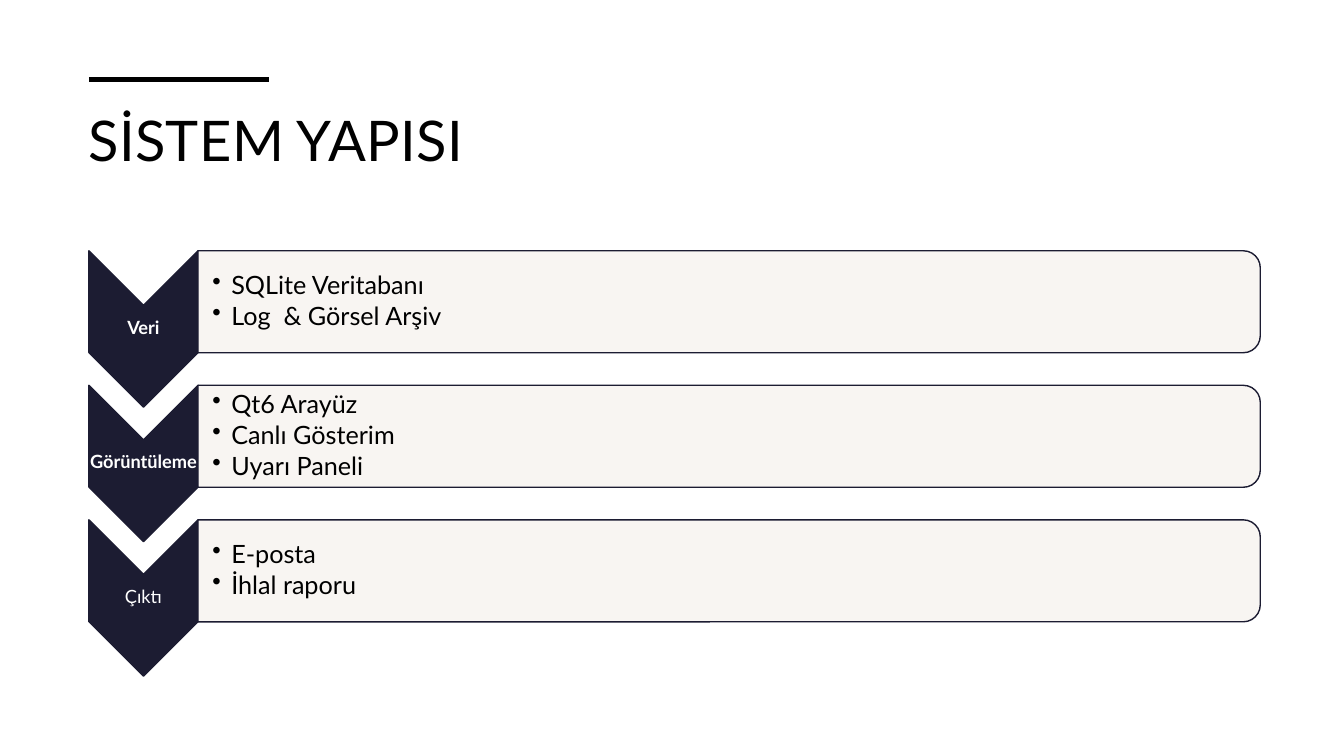
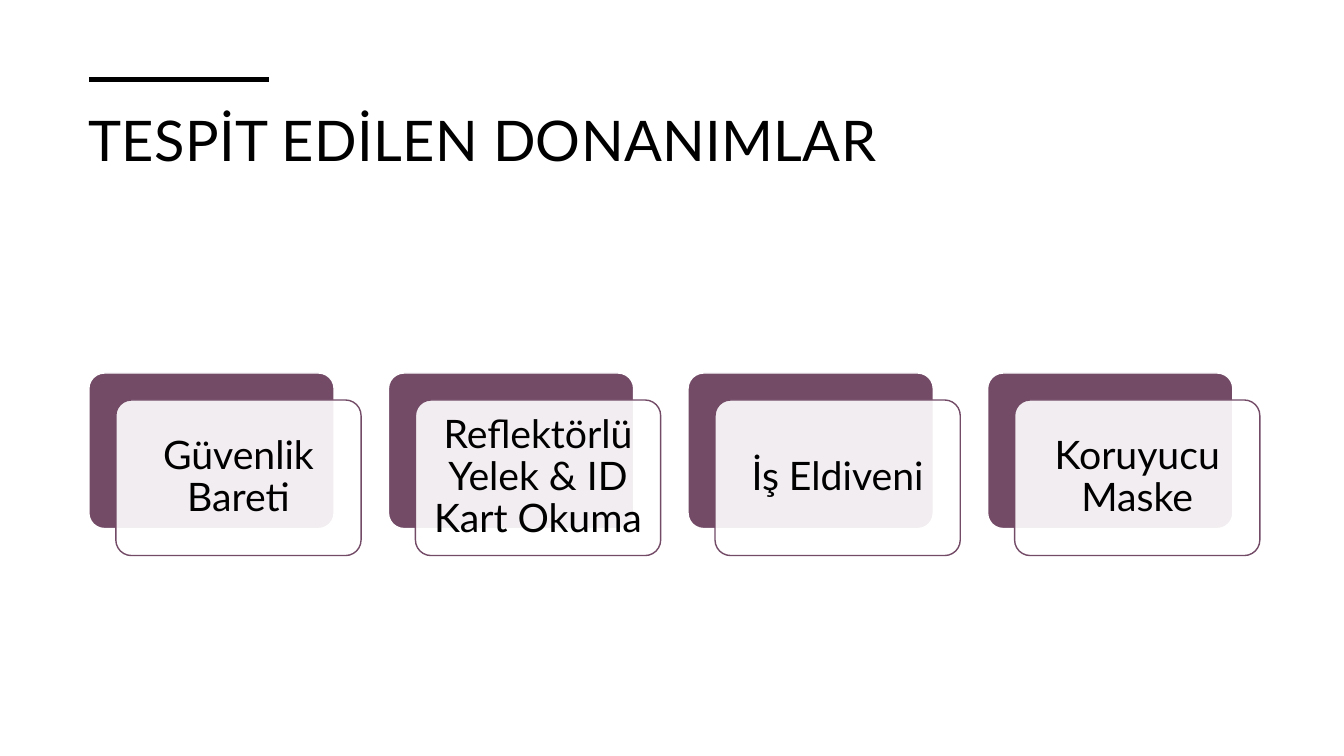
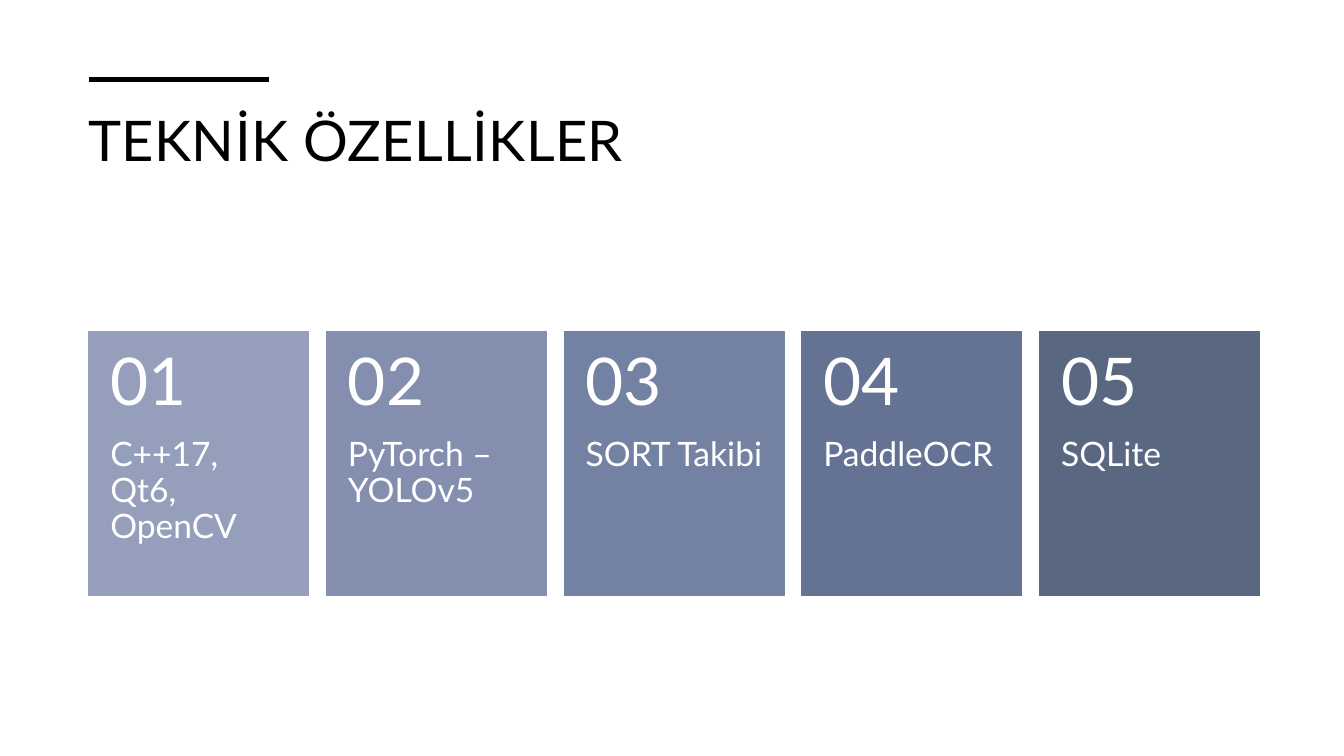
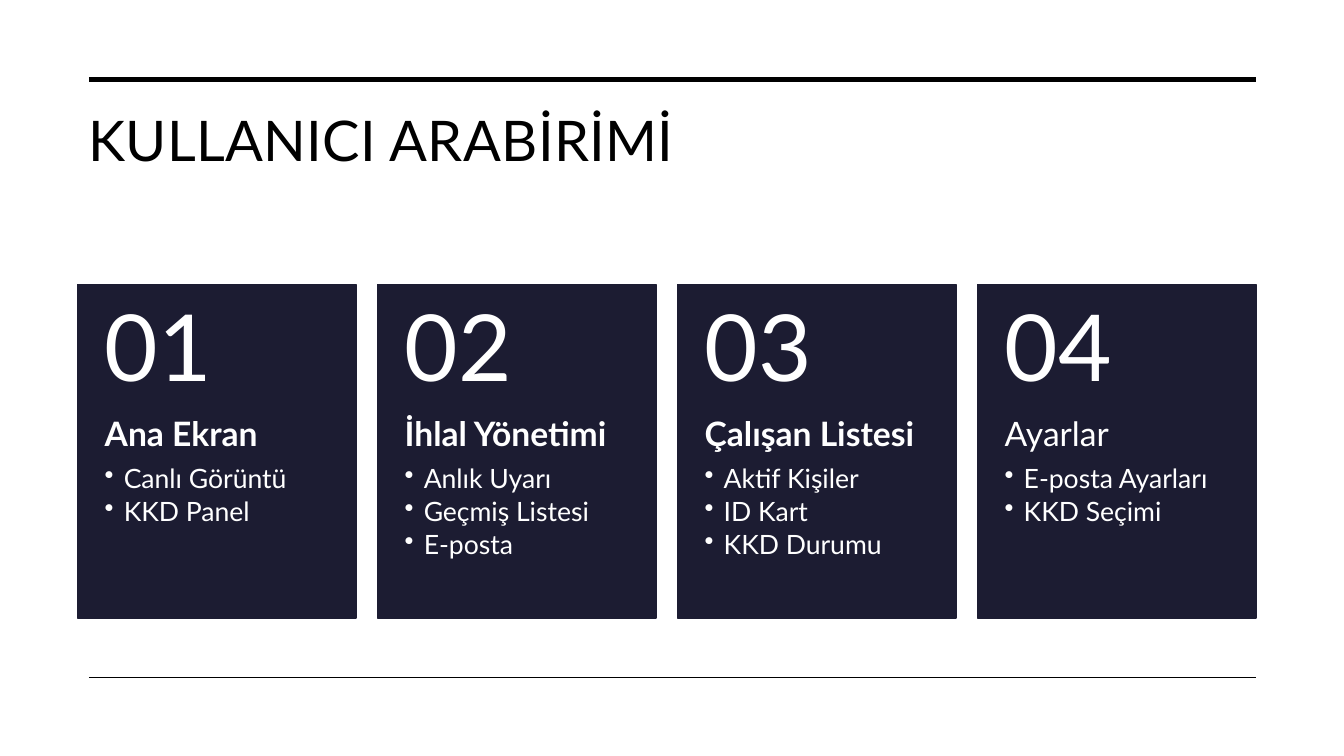
from lxml import etree
from pptx import Presentation
from pptx.dml.color import RGBColor
from pptx.enum.shapes import MSO_CONNECTOR, MSO_SHAPE
from pptx.enum.text import MSO_ANCHOR, PP_ALIGN
from pptx.oxml.ns import qn
from pptx.util import Cm, Pt

LEFT, CENTER = PP_ALIGN.LEFT, PP_ALIGN.CENTER
TOP, MIDDLE = MSO_ANCHOR.TOP, MSO_ANCHOR.MIDDLE
RECT, ROUNDED = MSO_SHAPE.RECTANGLE, MSO_SHAPE.ROUNDED_RECTANGLE
CHEVRON, ROUND_TOP = MSO_SHAPE.CHEVRON, MSO_SHAPE.ROUND_2_SAME_RECTANGLE
STRAIGHT = MSO_CONNECTOR.STRAIGHT

FONT = "Lato"
COLORS = {
    "black": "000000",
    "white": "FFFFFF",
    "navy": "1C1C32",
    "cream": "F8F4F1",
    "plum": "734B67",
    "step1": "959EBB",
    "step2": "848FAF",
    "step3": "7381A2",
    "step4": "647394",
    "step5": "596781",
}
MARGIN = 2.24
RULE_Y = 2.01
SHORT_RULE = 6.78
FULL_RULE = 31.65


def rgb(name):
    return RGBColor.from_string(COLORS[name])


def write(frame, text, *, size, color="black", bold=False, align=LEFT,
          line=0.9, after=0.35, bullet=False, tracking=None):
    paragraph = frame.paragraphs[0]
    if paragraph.runs:
        paragraph = frame.add_paragraph()
    paragraph.alignment = align
    paragraph.line_spacing = line
    paragraph.space_after = Pt(round(size * after, 2))
    if bullet:
        properties = paragraph._p.get_or_add_pPr()
        properties.set("marL", str(Cm(0.48)))
        properties.set("indent", str(-Cm(0.48)))
        etree.SubElement(properties, qn("a:buChar")).set("char", "•")
    run = paragraph.add_run()
    run.text = text
    run.font.name = FONT
    run.font.size = Pt(size)
    run.font.bold = bold
    run.font.color.rgb = rgb(color)
    if tracking:
        run.font._element.set("spc", str(tracking))


class Deck:
    def __init__(self):
        self.presentation = Presentation()
        self.presentation.slide_width = Cm(33.87)
        self.presentation.slide_height = Cm(19.05)
        self.slide = None

    def start(self, title, rule_end=SHORT_RULE):
        blank = self.presentation.slide_layouts[6]
        self.slide = self.presentation.slides.add_slide(blank)
        heading = self.text_box(1.98, 2.54, 30, 2.92, insets=(0.25, 0.13, 0.25, 0.13))
        write(heading, title, size=40, line=1.0, after=0, tracking=30)
        self.rule(RULE_Y, rule_end, 3.5)

    def rule(self, y, end, weight):
        rule = self.slide.shapes.add_connector(STRAIGHT, Cm(MARGIN), Cm(y), Cm(end), Cm(y))
        rule.line.color.rgb = rgb("black")
        rule.line.width = Pt(weight)
        etree.SubElement(rule._element.spPr, qn("a:effectLst"))

    def frame(self, shape, insets, anchor):
        frame = shape.text_frame
        frame.word_wrap = True
        frame.vertical_anchor = anchor
        (frame.margin_left, frame.margin_top,
         frame.margin_right, frame.margin_bottom) = [Cm(inset) for inset in insets]
        return frame

    def text_box(self, x, y, width, height, insets, anchor=TOP):
        box = self.slide.shapes.add_textbox(Cm(x), Cm(y), Cm(width), Cm(height))
        return self.frame(box, insets, anchor)

    def shape(self, kind, x, y, width, height, fill, line, opacity=100,
              corner=None, turned=False):
        if turned:
            x, y = x + (width - height) / 2, y + (height - width) / 2
            width, height = height, width
        shape = self.slide.shapes.add_shape(kind, Cm(x), Cm(y), Cm(width), Cm(height))
        shape.shadow.inherit = False
        shape.rotation = 90 if turned else 0
        shape.fill.solid()
        shape.fill.fore_color.rgb = rgb(fill)
        shape.line.color.rgb = rgb(line)
        shape.line.width = Pt(1)
        if corner is not None:
            shape.adjustments[0] = corner
        if opacity < 100:
            color = shape._element.spPr.find(qn("a:solidFill"))[0]
            etree.SubElement(color, qn("a:alpha")).set("val", str(opacity * 1000))
        return shape

    def stage(self, y, label, items, bold):
        arrow_width, panel_height = 2.75, 2.57
        panel_x = MARGIN + arrow_width
        self.shape(CHEVRON, MARGIN, y, arrow_width, 3.94, "navy", "navy", turned=True)
        caption = self.text_box(MARGIN, y + arrow_width / 2, arrow_width, 1.17,
                                insets=(0.02,) * 4, anchor=MIDDLE)
        write(caption, label, size=13, color="white", bold=bold, align=CENTER)
        self.shape(ROUND_TOP, panel_x, y, 26.77, panel_height, "cream", "navy",
                   opacity=90, turned=True)
        details = self.text_box(panel_x, y + 0.13, 26.64, panel_height - 0.26,
                                insets=(0.36, 0.02, 0.02, 0.02), anchor=MIDDLE)
        for item in items:
            write(details, item, size=18, after=0.15, bullet=True)

    def layered_card(self, x, y, label):
        width, height, offset = 6.18, 3.92, 0.68
        self.shape(ROUNDED, x, y, width, height, "plum", "white", corner=0.1)
        front = self.shape(ROUNDED, x + offset, y + offset, width, height,
                           "white", "plum", opacity=90, corner=0.1)
        write(self.frame(front, (0.3,) * 4, MIDDLE), label, size=28, align=CENTER)

    def numbered_card(self, x, y, width, height, color, number, number_size,
                      heading, inset, bold=False, items=()):
        number_height = height * 0.4
        self.shape(RECT, x, y, width, height, color, color)
        body = self.text_box(x, y + number_height, width, height - number_height,
                             insets=(inset, 0, inset, 0.91))
        write(body, heading, size=24, color="white", bold=bold)
        for item in items:
            write(body, item, size=19, color="white", after=0.15, bullet=True)
        counter = self.text_box(x, y, width, number_height,
                                insets=(inset, 0.46, inset, 0.46), anchor=MIDDLE)
        write(counter, f"{number:02}", size=number_size, color="white")


def system_structure(deck):
    deck.start("SİSTEM YAPISI")
    stages = [
        ("Veri", ["SQLite Veritabanı", "Log  & Görsel Arşiv"], True),
        ("Görüntüleme", ["Qt6 Arayüz", "Canlı Gösterim", "Uyarı Paneli"], True),
        ("Çıktı", ["E-posta", "İhlal raporu"], False),
    ]
    for order, (label, items, bold) in enumerate(stages):
        deck.stage(6.32 + order * 3.39, label, items, bold)


def detected_equipment(deck):
    deck.start("TESPİT EDİLEN DONANIMLAR")
    equipment = ["Güvenlik Bareti", "Reflektörlü Yelek & ID Kart Okuma",
                 "İş Eldiveni", "Koruyucu Maske"]
    for order, label in enumerate(equipment):
        deck.layered_card(MARGIN + order * 7.55, 9.4, label)


def technical_features(deck):
    deck.start("TEKNİK ÖZELLİKLER")
    features = ["C++17, Qt6, OpenCV", "PyTorch – YOLOv5", "SORT Takibi",
                "PaddleOCR", "SQLite"]
    for order, feature in enumerate(features):
        deck.numbered_card(MARGIN + order * 5.99, 8.36, 5.54, 6.65,
                           f"step{order + 1}", order + 1, 47, feature, inset=0.54)


def user_interface(deck):
    deck.start("KULLANICI ARABİRİMİ", FULL_RULE)
    deck.rule(17.07, FULL_RULE, 1)
    screens = [
        ("Ana Ekran", ["Canlı Görüntü", "KKD Panel"], True),
        ("İhlal Yönetimi", ["Anlık Uyarı", "Geçmiş Listesi", "E-posta"], True),
        ("Çalışan Listesi", ["Aktif Kişiler", "ID Kart", "KKD Durumu"], True),
        ("Ayarlar", ["E-posta Ayarları", "KKD Seçimi"], False),
    ]
    for order, (heading, items, bold) in enumerate(screens):
        deck.numbered_card(1.95 + order * 7.56, 7.17, 7.02, 8.4, "navy", order + 1,
                           66, heading, inset=0.69, bold=bold, items=items)


def main():
    deck = Deck()
    system_structure(deck)
    detected_equipment(deck)
    technical_features(deck)
    user_interface(deck)
    deck.presentation.save("out.pptx")


if __name__ == "__main__":
    main()
